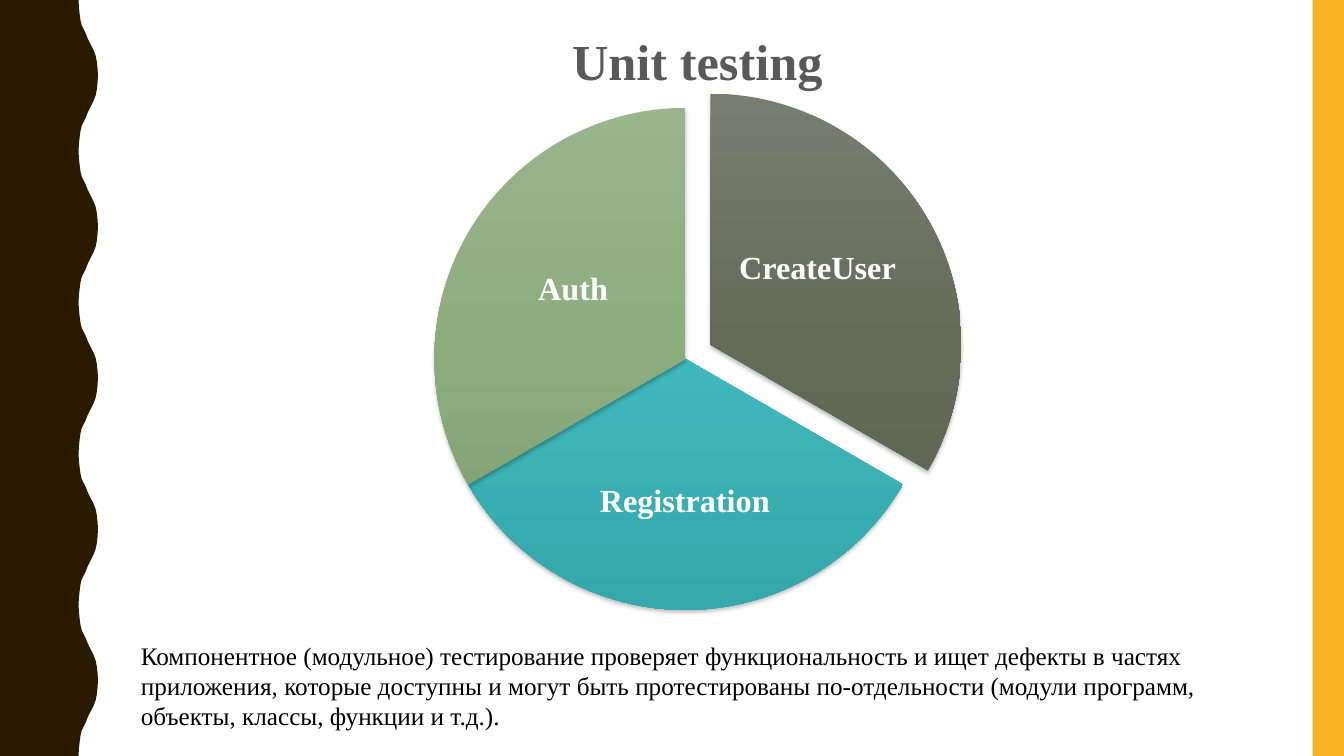
from lxml import etree
from pptx import Presentation
from pptx.dml.color import RGBColor
from pptx.enum import shapes, text
from pptx.oxml import ns
from pptx.util import Cm, Pt

FONT = "Times New Roman"
WIDTH, HEIGHT = 33.87, 19.05

# Half of one wave of the left edge: (depth, distance down) in cm
HALF_WAVE = [(0, 0), (0.01, 0.18), (0.03, 0.36), (0.05, 0.51), (0.08, 0.64),
             (0.13, 0.74), (0.18, 0.84), (0.23, 0.97), (0.28, 1.07),
             (0.33, 1.17), (0.38, 1.27), (0.43, 1.4), (0.46, 1.55),
             (0.48, 1.73), (0.49, 1.9)]

# Name, start and end angle, shift from the centre, label box, gradient
SECTORS = [
    ("CreateUser", 270, 30, (0.63, -0.36), (6.88, 2.31, 4.29, 4.22),
     ("797D70", "656B58", "5A604E")),
    ("Registration", 30, 150, (0, 0), (3.45, 7.98, 5.72, 3.91),
     ("64BBBE", "40B7BB", "34A8AB")),
    ("Auth", 150, 270, (0, 0), (1.35, 2.49, 4.29, 4.22),
     ("9AB48E", "8BAC7C", "7B9B6C")),
]


def color(value):
    return RGBColor.from_string(value)


def add_child(parent, tag, **attributes):
    child = etree.SubElement(parent, ns.qn(tag))
    for name, value in attributes.items():
        child.set(name, str(value))
    return child


def paint(shape, value):
    shape.fill.solid()
    shape.fill.fore_color.rgb = color(value)
    shape.line.fill.background()
    shape.shadow.inherit = False


def add_text(page, content, left, top, width, height, size, value,
             bold=False, align=text.PP_ALIGN.LEFT):
    box = page.shapes.add_textbox(Cm(left), Cm(top), Cm(width), Cm(height))
    box.text_frame.word_wrap = True
    para = box.text_frame.paragraphs[0]
    para.text = content
    para.alignment = align
    para.font.name = FONT
    para.font.size = Pt(size)
    para.font.bold = bold
    para.font.color.rgb = color(value)
    return box.text_frame


def add_wavy_band(page, left, top, width, height):
    period = 2 * HALF_WAVE[-1][1]
    period = height / round(height / period)
    wave = HALF_WAVE + [(depth, period - down)
                        for depth, down in reversed(HALF_WAVE[1:-1])]
    edge = [(left + width + depth, top + number * period + down)
            for number in range(round(height / period))
            for depth, down in wave]
    edge += [(left + width, top + height), (left, top + height)]
    builder = page.shapes.build_freeform(Cm(left), Cm(top))
    builder.add_line_segments([(Cm(x), Cm(y)) for x, y in edge])
    paint(builder.convert_to_shape(), "2A1A00")


def add_side_bar(page, left, top, width, height):
    bar = page.shapes.add_shape(shapes.MSO_SHAPE.RECTANGLE, Cm(left), Cm(top),
                                Cm(width), Cm(height))
    paint(bar, "F8B323")


def add_title(page, left, top, width, height):
    frame = add_text(page, "Unit testing", left, top, width, height, 36,
                     "595959", True, text.PP_ALIGN.CENTER)
    frame.paragraphs[0].line_spacing = 1.1
    frame.paragraphs[0].space_before = Pt(7)


def shade(shape, stops):
    # Three-stop gradient running downwards
    shape.fill.gradient()
    shape.fill.gradient_angle = 270
    stop_list = shape.element.spPr.find(".//" + ns.qn("a:gsLst"))
    for stop in list(stop_list):
        stop_list.remove(stop)
    for number, value in enumerate(stops):
        stop = add_child(stop_list, "a:gs", pos=number * 50000)
        add_child(stop, "a:srgbClr", val=value)
    shape.line.fill.background()

    # Soft shadow below
    shape.shadow.inherit = False
    effects = shape.element.spPr.find(ns.qn("a:effectLst"))
    shadow = add_child(effects, "a:outerShdw", blurRad=Pt(3), dist=Pt(2),
                       dir=5400000, algn="ctr", rotWithShape=0)
    black = add_child(shadow, "a:srgbClr", val="000000")
    add_child(black, "a:alpha", val=25000)


def add_pie(page, left, top, size):
    for name, start, end, shift, label, stops in SECTORS:
        x, y = left + shift[0], top + shift[1]
        sector = page.shapes.add_shape(shapes.MSO_SHAPE.PIE, Cm(x), Cm(y),
                                       Cm(size), Cm(size))
        # Angles are stored in 60000ths of a degree
        sector.adjustments[0] = start * 0.6
        sector.adjustments[1] = end * 0.6
        shade(sector, stops)

        frame = add_text(page, name, x + label[0], y + label[1], label[2],
                         label[3], 23, "FFFFFF", True, text.PP_ALIGN.CENTER)
        frame.vertical_anchor = text.MSO_ANCHOR.MIDDLE
        frame.margin_left = frame.margin_right = Cm(0.08)
        frame.margin_top = frame.margin_bottom = Cm(0.08)
        frame.paragraphs[0].line_spacing = 0.9


def add_description(page, left, top, width, height):
    add_text(page, "Компонентное (модульное) тестирование проверяет "
             "функциональность и ищет дефекты в частях приложения, которые "
             "доступны и могут быть протестированы по-отдельности (модули "
             "программ, объекты, классы, функции и т.д.).",
             left, top, width, height, 18, "000000")


def main():
    deck = Presentation()
    deck.slide_width, deck.slide_height = Cm(WIDTH), Cm(HEIGHT)
    page = deck.slides.add_slide(deck.slide_layouts[6])
    add_wavy_band(page, 0, 0, 1.98, HEIGHT)
    add_side_bar(page, WIDTH - 0.79, 0, 0.79, HEIGHT)
    add_title(page, 3.48, 0.48, 28.19, 2.13)
    add_pie(page, 10.95, 2.72, 12.65)
    add_description(page, 3.3, 16, 28.37, 2.57)
    deck.save("out.pptx")


if __name__ == "__main__":
    main()
